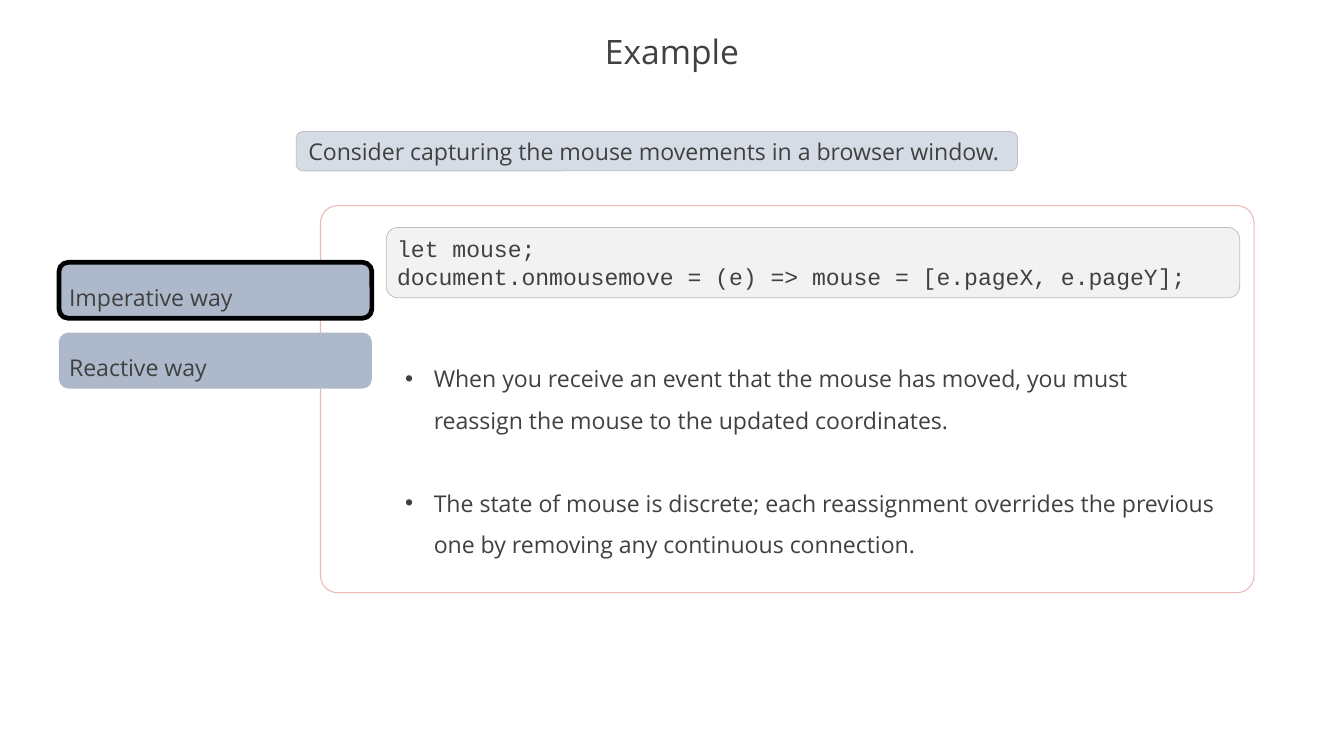
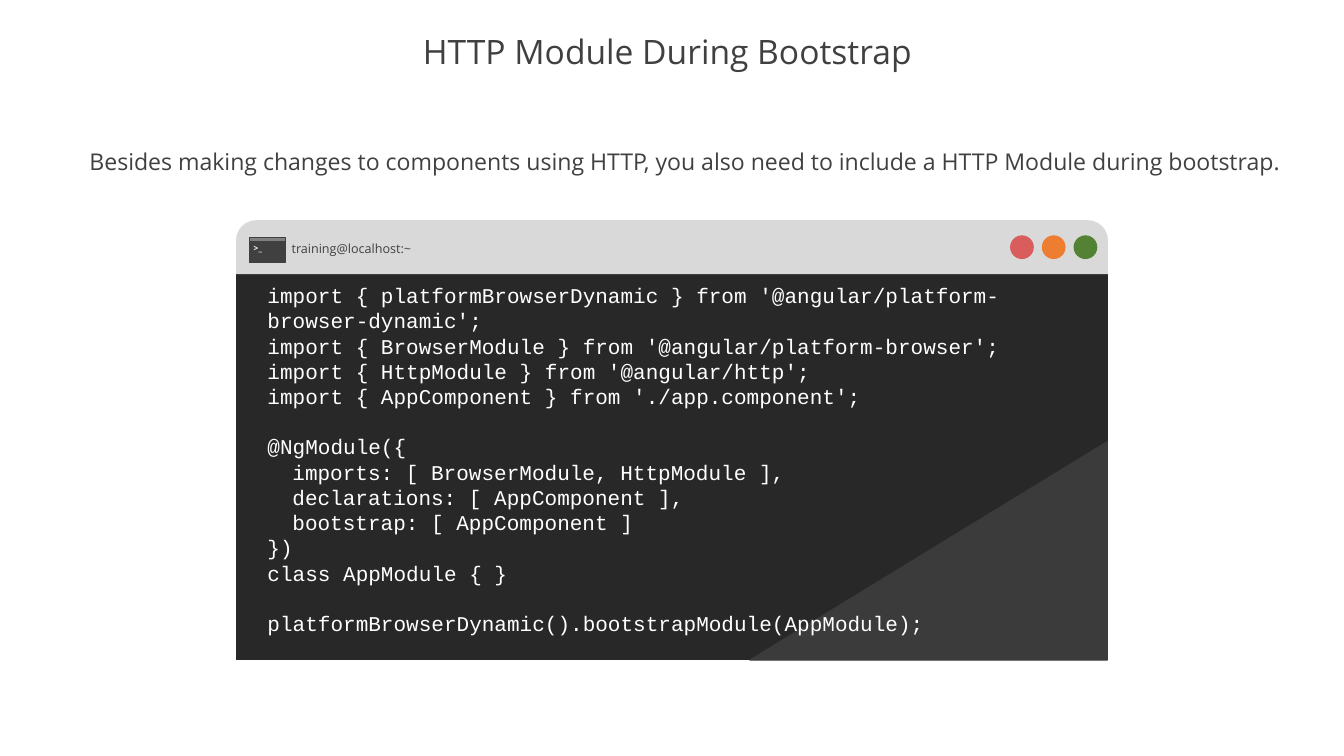
from lxml import etree
from pptx import Presentation
from pptx.dml.color import RGBColor
from pptx.enum import shapes, text
from pptx.oxml.ns import qn
from pptx.util import Inches, Pt

# Shared style
WIDTH, HEIGHT = 17.78, 10
INK, WHITE, SILVER = "404040", "FFFFFF", "BFBFBF"
TITLE = {"size": Pt(32), "name": "Open Sans"}
BODY = {"size": Pt(22), "name": "Open Sans"}
CODE = {"size": Pt(22), "name": "Courier New"}
TERMINAL = {"size": Pt(20), "name": "Courier New"}
LABEL = {"size": Pt(12), "name": "Open Sans"}
PROMPT = {"size": Pt(8), "name": "Open Sans", "bold": True}
LEFT, CENTER = text.PP_ALIGN.LEFT, text.PP_ALIGN.CENTER
TOP, MIDDLE = text.MSO_ANCHOR.TOP, text.MSO_ANCHOR.MIDDLE
ROUND = shapes.MSO_SHAPE.ROUNDED_RECTANGLE
RECT = shapes.MSO_SHAPE.RECTANGLE


def rgb(value):
    return RGBColor.from_string(value)


class Deck:
    """Holds the presentation and the slide being built."""

    def __init__(self):
        self.prs = Presentation()
        self.prs.slide_width = Inches(WIDTH)
        self.prs.slide_height = Inches(HEIGHT)
        self.s = None

    def slide(self, title):
        self.s = self.prs.slides.add_slide(self.prs.slide_layouts[5])
        sp = self.s.shapes.title
        sp.left, sp.top, sp.width, sp.height = map(Inches, (0, 0.35, WIDTH, 0.73))
        self.put_text(sp, [title], TITLE, align=CENTER, anchor=MIDDLE, spacing=0.9)

    def put_text(self, sp, lines, font, color=INK, align=LEFT, anchor=TOP,
                 spacing=1.0, wrap=True):
        """Each line is a string or a (string, paragraph format) pair."""
        tf = sp.text_frame
        tf.word_wrap = wrap
        tf.vertical_anchor = anchor
        for i, line in enumerate(lines):
            words, extra = (line, {}) if isinstance(line, str) else line
            p = tf.paragraphs[0] if i == 0 else tf.add_paragraph()
            layout = {"alignment": align, "line_spacing": spacing}
            layout.update(extra)
            indent = layout.pop("indent", 0)
            for name, value in layout.items():
                setattr(p, name, value)
            if indent:
                p._p.get_or_add_pPr().set("marL", str(Inches(indent)))
            r = p.add_run()
            r.text = words
            for name, value in font.items():
                setattr(r.font, name, value)
            r.font.color.rgb = rgb(color)

    def paint(self, sp, fill, line=None, weight=1):
        sp.shadow.inherit = False
        sp.fill.solid()
        sp.fill.fore_color.rgb = rgb(fill)
        if line:
            sp.line.color.rgb = rgb(line)
            sp.line.width = Pt(weight)
        else:
            sp.line.fill.background()

    def shape(self, kind, box, fill, line=None, weight=1, adjust=()):
        sp = self.s.shapes.add_shape(kind, *map(Inches, box))
        self.paint(sp, fill, line, weight)
        for i, value in enumerate(adjust):
            sp.adjustments[i] = value
        return sp

    def polygon(self, points, fill):
        pts = [(Inches(x), Inches(y)) for x, y in points]
        builder = self.s.shapes.build_freeform(*pts[0])
        builder.add_line_segments(pts[1:], close=True)
        self.paint(builder.convert_to_shape(), fill, fill)

    def textbox(self, box, lines, font, **options):
        sp = self.s.shapes.add_textbox(*map(Inches, box))
        self.put_text(sp, lines, font, **options)
        return sp

    def bullets(self, box, lines, gap):
        items = [(line, {"space_before": Pt(gap if i else 0)})
                 for i, line in enumerate(lines)]
        sp = self.textbox(box, items, BODY, spacing=1.5)
        for p in sp.text_frame.paragraphs:
            pPr = p._p.get_or_add_pPr()
            pPr.set("marL", str(Inches(0.38)))
            pPr.set("indent", str(Inches(-0.38)))
            etree.SubElement(pPr, qn("a:buFont")).set("typeface", "Arial")
            etree.SubElement(pPr, qn("a:buChar")).set("char", "•")


def example_slide(deck):
    deck.slide("Example")

    # Card and lead sentence
    deck.shape(ROUND, (4.24, 2.72, 12.35, 5.12), WHITE, "EDB9B5", adjust=[0.044])
    lead = deck.shape(ROUND, (3.92, 1.74, 9.54, 0.52), "D6DCE5", SILVER, 0.75)
    deck.put_text(lead, ["Consider capturing the mouse movements in a browser window. "],
                  BODY, align=CENTER, wrap=False)

    # Code and explanation
    code = deck.shape(ROUND, (5.11, 3.01, 11.29, 0.93), "F2F2F2", SILVER, 0.75)
    deck.put_text(code, ["let mouse;",
                         "document.onmousemove = (e) => mouse = [e.pageX, e.pageY];"], CODE)
    deck.bullets((5.26, 4.59, 10.99, 2.88), [
        "When you receive an event that the mouse has moved, you must reassign "
        "the mouse to the updated coordinates.",
        "The state of mouse is discrete; each reassignment overrides the previous "
        "one by removing any continuous connection.",
    ], gap=39.5)

    # Tabs, the first one selected
    for i, (name, line) in enumerate([("Imperative way", "000000"),
                                      ("Reactive way", None)]):
        tab = deck.shape(ROUND, (0.78, 3.47 + 0.93 * i, 4.14, 0.74), "ADB9CA", line, 4.5)
        deck.put_text(tab, [name], BODY, anchor=MIDDLE, spacing=1.5)


def bootstrap_slide(deck):
    deck.slide("HTTP Module During Bootstrap ")
    deck.textbox((1, 1.72, 16.12, 0.66), [
        "Besides making changes to components using HTTP, you also need to include "
        "a HTTP Module during bootstrap."], BODY, align=CENTER, spacing=1.5)

    # Terminal window
    left, width, right, bottom = 3.13, 11.52, 14.65, 8.73
    deck.shape(RECT, (left, 3.63, width, 5.1), "282828", "282828")
    deck.polygon([(right, 5.84), (right, bottom), (9.92, bottom)], "3B3B3B")
    deck.shape(shapes.MSO_SHAPE.ROUND_2_SAME_RECTANGLE, (left, 2.92, width, 0.7),
               "D9D9D9", "D9D9D9", adjust=[0.37, 0])
    for i, color in enumerate(["D95D5D", "ED7D31", "548235"]):
        deck.shape(shapes.MSO_SHAPE.OVAL, (13.37 + 0.42 * i, 3.12, 0.3, 0.3),
                   color, color)

    # Window label and prompt icon
    deck.textbox((3.76, 3.14, 1.8, 0.3), ["training@localhost:~"], LABEL, wrap=False)
    deck.shape(RECT, (3.3, 3.2, 0.48, 0.27), INK, INK)
    deck.shape(RECT, (3.3, 3.14, 0.48, 0.05), "808080", INK)
    deck.textbox((3.23, 3.17, 0.34, 0.24), [" >_"], PROMPT, color=WHITE, wrap=False)

    # Code listing
    nested = {"indent": 0.33}
    new_block = {"space_before": Pt(24)}
    deck.textbox((3.44, 3.69, 10.89, 4.81), [
        "import { platformBrowserDynamic } from '@angular/platform-browser-dynamic';",
        "import { BrowserModule } from '@angular/platform-browser';",
        "import { HttpModule } from '@angular/http';",
        "import { AppComponent } from './app.component';",
        ("@NgModule({", new_block),
        ("imports: [ BrowserModule, HttpModule ],", nested),
        ("declarations: [ AppComponent ],", nested),
        ("bootstrap: [ AppComponent ]", nested),
        "})",
        "class AppModule { }",
        ("platformBrowserDynamic().bootstrapModule(AppModule);", new_block),
    ], TERMINAL, color=WHITE)


def main():
    deck = Deck()
    example_slide(deck)
    bootstrap_slide(deck)
    deck.prs.save("out.pptx")


if __name__ == "__main__":
    main()
